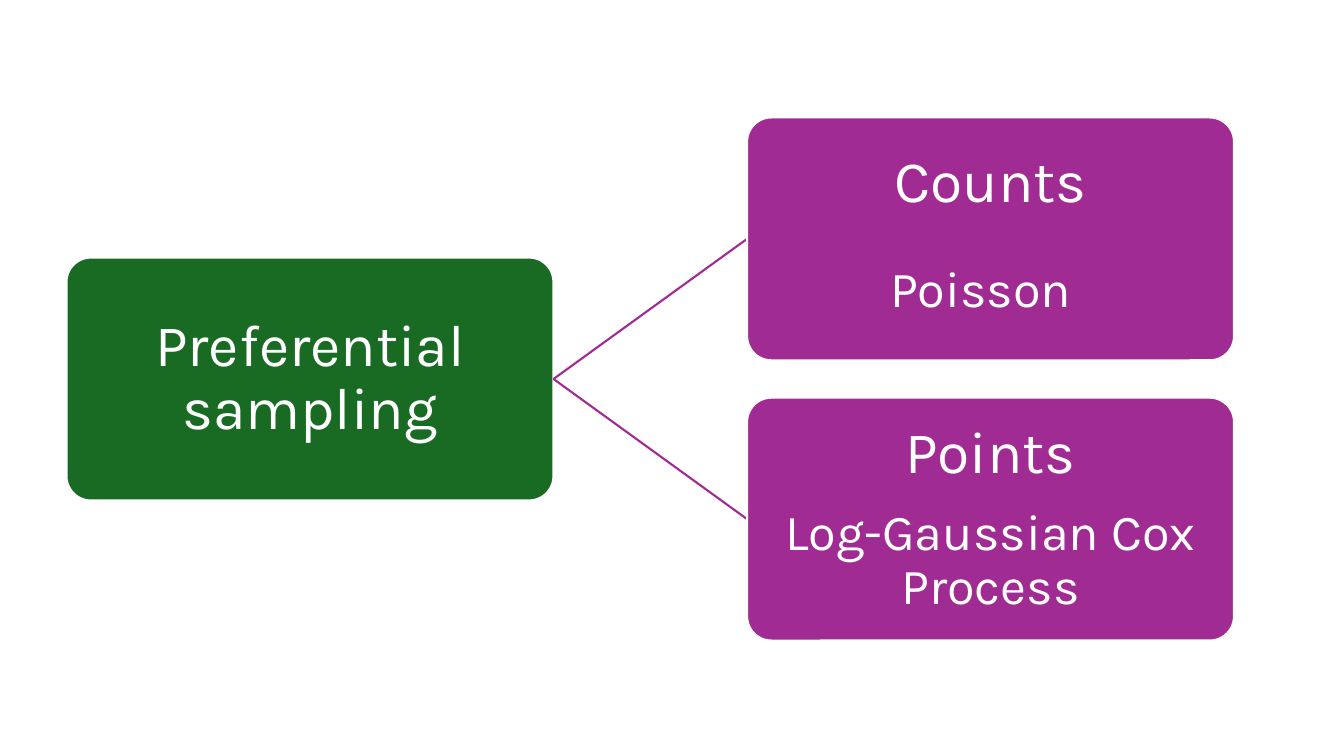
from pptx import Presentation
from pptx.dml.color import RGBColor
from pptx.enum.shapes import MSO_CONNECTOR, MSO_SHAPE
from pptx.enum.text import MSO_ANCHOR, PP_ALIGN
from pptx.oxml.ns import qn
from pptx.util import Inches, Pt

GREEN = RGBColor(0x19, 0x6B, 0x24)
PURPLE = RGBColor(0xA0, 0x2B, 0x93)
WHITE = RGBColor(0xFF, 0xFF, 0xFF)
ROUNDED, STRAIGHT = MSO_SHAPE.ROUNDED_RECTANGLE, MSO_CONNECTOR.STRAIGHT
MIDDLE, CENTER = MSO_ANCHOR.MIDDLE, PP_ALIGN.CENTER
LEFT_SIDE, RIGHT_SIDE = 1, 3

# Tree grid: two columns of boxes, children stacked around the root's middle
BOX_W, BOX_H = Inches(4.83), Inches(2.41)
COLUMN_STEP, ROW_STEP = Inches(6.75), Inches(2.78)
TREE_LEFT, TREE_MIDDLE = Inches(0.66), Inches(3.76)
INSET = Inches(0.1)
TITLE_SIZE, DETAIL_SIZE = 42, 36

ROOT = [[("Preferential sampling", TITLE_SIZE)]]
CHILDREN = [
    [[("Counts", TITLE_SIZE)], [("Poisson", DETAIL_SIZE), (" ", 59)]],
    [[("Points", TITLE_SIZE)], [("Log-Gaussian Cox Process", DETAIL_SIZE)]],
]


def add_box(s, left, middle, color, paragraphs):
    """Rounded box centred on a height, with its lines of text."""
    sp = s.shapes.add_shape(ROUNDED, left, middle - BOX_H // 2, BOX_W, BOX_H)
    sp.adjustments[0] = 0.1
    sp.shadow.inherit = False
    sp.fill.solid()
    sp.fill.fore_color.rgb = color
    sp.line.color.rgb = WHITE
    sp.line.width = Pt(1.5)
    tf = sp.text_frame
    frame_format = {"word_wrap": True, "vertical_anchor": MIDDLE,
                    "margin_left": INSET, "margin_right": INSET,
                    "margin_top": INSET, "margin_bottom": INSET}
    for name, value in frame_format.items():
        setattr(tf, name, value)
    for i, runs in enumerate(paragraphs):
        p = tf.add_paragraph() if i else tf.paragraphs[0]
        p.alignment, p.line_spacing = CENTER, 0.9
        if i:
            p.space_before = Pt(15)
        for text, size in runs:
            r = p.add_run()
            r.text = text
            r.font.name, r.font.size = "Karla", Pt(size)
            r.font.color.rgb = WHITE
    return sp


def add_branch(s, root, left, middle):
    """Line from the root's right side to a child's left side."""
    line = s.shapes.add_connector(STRAIGHT, root.left + root.width,
                                  TREE_MIDDLE, left, middle)
    line.begin_connect(root, RIGHT_SIDE)
    line.line.color.rgb = PURPLE
    line.line.width = Pt(1.5)
    properties = line._element.spPr
    properties.append(properties.makeelement(qn("a:effectLst"), {}))
    return line


def add_tree(s):
    """Root box with one branch and box per child."""
    root = add_box(s, TREE_LEFT, TREE_MIDDLE, GREEN, ROOT)
    left = TREE_LEFT + COLUMN_STEP
    for i, paragraphs in enumerate(CHILDREN):
        middle = TREE_MIDDLE + int((i - (len(CHILDREN) - 1) / 2) * ROW_STEP)
        branch = add_branch(s, root, left, middle)
        child = add_box(s, left, middle, PURPLE, paragraphs)
        branch.end_connect(child, LEFT_SIDE)


def main():
    prs = Presentation()
    prs.slide_width, prs.slide_height = Inches(13.33), Inches(7.5)
    s = prs.slides.add_slide(prs.slide_layouts[6])
    add_tree(s)
    prs.save("out.pptx")


if __name__ == "__main__":
    main()
